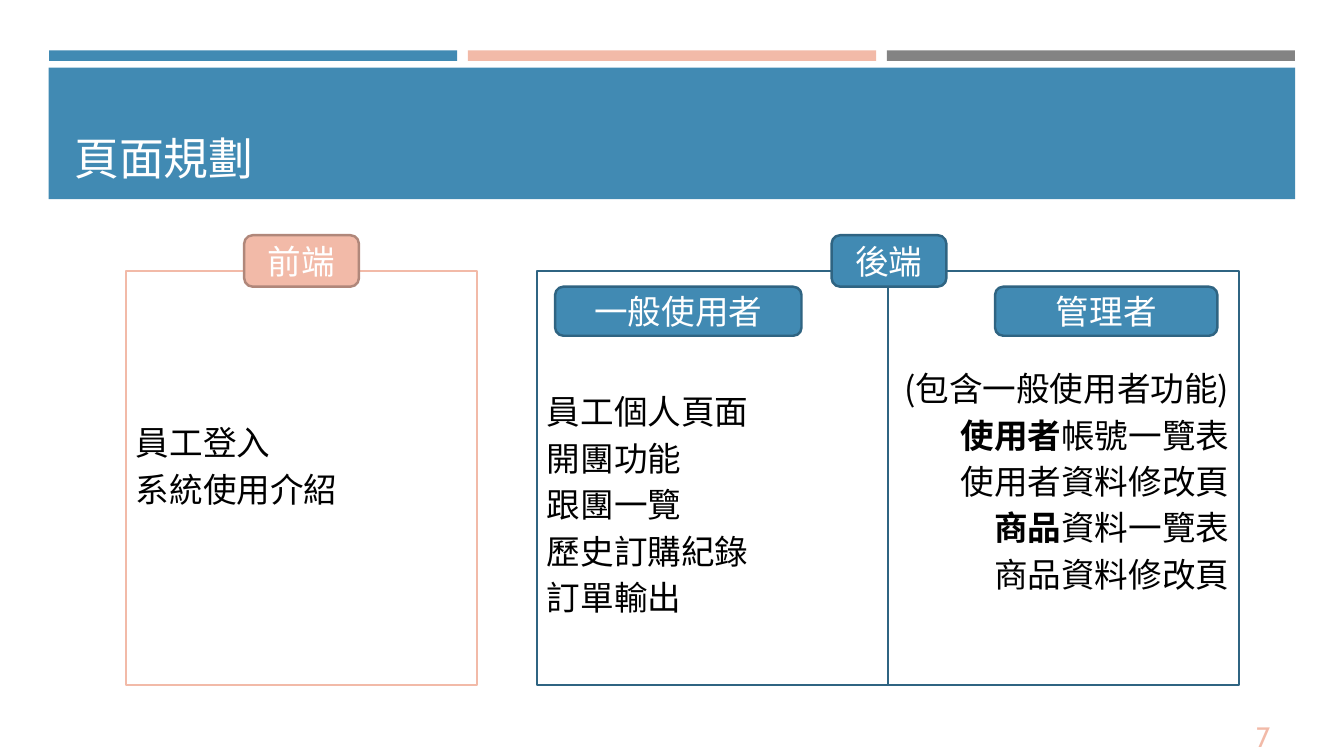
from dataclasses import dataclass

from lxml import etree
from pptx import Presentation
from pptx import util as u
from pptx.dml.color import RGBColor
from pptx.enum import shapes, text
from pptx.oxml import ns

RECT = shapes.MSO_SHAPE.RECTANGLE
ROUND = shapes.MSO_SHAPE.ROUNDED_RECTANGLE
LEFT, MID, RIGHT = text.PP_ALIGN.LEFT, text.PP_ALIGN.CENTER, text.PP_ALIGN.RIGHT


@dataclass(frozen=True)
class Theme:
    blue: str = "418AB3"
    navy: str = "2F6482"
    pink: str = "F2BAA8"
    brown: str = "B0877A"
    gray: str = "838383"
    white: str = "FFFFFF"
    black: str = "000000"
    font: str = "Noto Sans CJK TC"
    digit: str = "Cabin"
    head: int = 32
    body: int = 24
    foot: int = 20
    edge: float = 1.75
    lead: float = 1.15


class Deck:
    def __init__(self, theme):
        self.theme = theme
        self.file = Presentation()
        self.file.slide_width, self.file.slide_height = u.Pt(960), u.Pt(540)
        self.slide = self.file.slides.add_slide(self.file.slide_layouts[6])

    def style(self, run, size, color, font):
        run.font.size = u.Pt(size)
        run.font.color.rgb = RGBColor.from_string(color)
        run.font.name = font
        east = etree.Element(ns.qn("a:ea"), typeface=font)
        run.font._element.find(ns.qn("a:latin")).addnext(east)

    def fill_text(self, shape, lines, size, color, align=LEFT, font=None,
                  anchor=text.MSO_ANCHOR.MIDDLE, lead=None):
        """Each line is a string, or a (bold, plain) pair."""
        frame = shape.text_frame
        frame.word_wrap = True
        frame.vertical_anchor = anchor
        for i, line in enumerate(lines):
            para = frame.add_paragraph() if i else frame.paragraphs[0]
            para.alignment = align
            if lead:
                para.line_spacing = lead
            if isinstance(line, str):
                para.text = line
            else:
                for part in line:
                    para.add_run().text = part
                para.runs[0].font.bold = True
            for run in para.runs:
                self.style(run, size, color, font or self.theme.font)

    def box(self, kind, area, fill=None, line=None):
        shape = self.slide.shapes.add_shape(kind, *map(u.Pt, area))
        shape.shadow.inherit = False
        if fill:
            shape.fill.solid()
            shape.fill.fore_color.rgb = RGBColor.from_string(fill)
        else:
            shape.fill.background()
        if line:
            shape.line.color.rgb = RGBColor.from_string(line)
            shape.line.width = u.Pt(self.theme.edge)
        else:
            shape.line.fill.background()
        return shape

    def label(self, area, words, size, color, **look):
        shape = self.slide.shapes.add_textbox(*map(u.Pt, area))
        self.fill_text(shape, [words], size, color, **look)

    def panel(self, area, lines, line, fill=None, align=LEFT, above=0, below=0):
        shape = self.box(RECT, area, fill, line)
        shape.text_frame.margin_top = u.Pt(3.6 + above)
        shape.text_frame.margin_bottom = u.Pt(3.6 + below)
        self.fill_text(shape, lines, self.theme.body, self.theme.black, align,
                       lead=self.theme.lead)

    def tag(self, area, words, fill, line):
        shape = self.box(ROUND, area, fill, line)
        self.fill_text(shape, [words], self.theme.body, self.theme.white, MID)


def main():
    look = Theme()
    deck = Deck(look)

    # Top bars and title band
    for i, color in enumerate((look.blue, look.pink, look.gray)):
        deck.box(RECT, (35 + 299.2 * i, 36, 291.6, 7.5), color)
    deck.box(RECT, (34.8, 48.4, 890.4, 93.8), look.blue)
    deck.label((46, 55.4, 868, 80), "頁面規劃", look.head, look.white,
               anchor=text.MSO_ANCHOR.BOTTOM)

    # Page panels
    top, wide, high = 193.5, 250.8, 296
    front, user = 90, 383.6
    admin = user + wide
    deck.panel((front, top, wide, high), ["員工登入", "系統使用介紹"],
               look.pink, look.white, below=22)
    deck.panel((user, top, wide, high),
               ["員工個人頁面", "開團功能", "跟團一覽", "歷史訂購紀錄", "訂單輸出"],
               look.navy, above=33)
    deck.panel((admin, top, wide, high),
               ["(包含一般使用者功能)", ("使用者", "帳號一覽表"), "使用者資料修改頁",
                ("商品", "資料一覽表"), "商品資料修改頁"],
               look.navy, align=RIGHT)

    # Side tags, centred on the top edges
    span = 82
    for words, center, fill, line in (
            ("前端", front + wide / 2, look.pink, look.brown),
            ("後端", admin + 0.6, look.blue, look.navy)):
        deck.tag((center - span / 2, 168, span, 36.8), words, fill, line)

    # Role tags
    for words, left, width in (("一般使用者", 396.5, 176), ("管理者", 710.8, 158.8)):
        deck.tag((left, 204.8, width, 35), words, look.blue, look.navy)

    # Page number
    deck.label((831.6, 511.2, 82.8, 28.8), "7", look.foot, look.pink,
               align=RIGHT, font=look.digit)

    deck.file.save("out.pptx")


if __name__ == "__main__":
    main()
